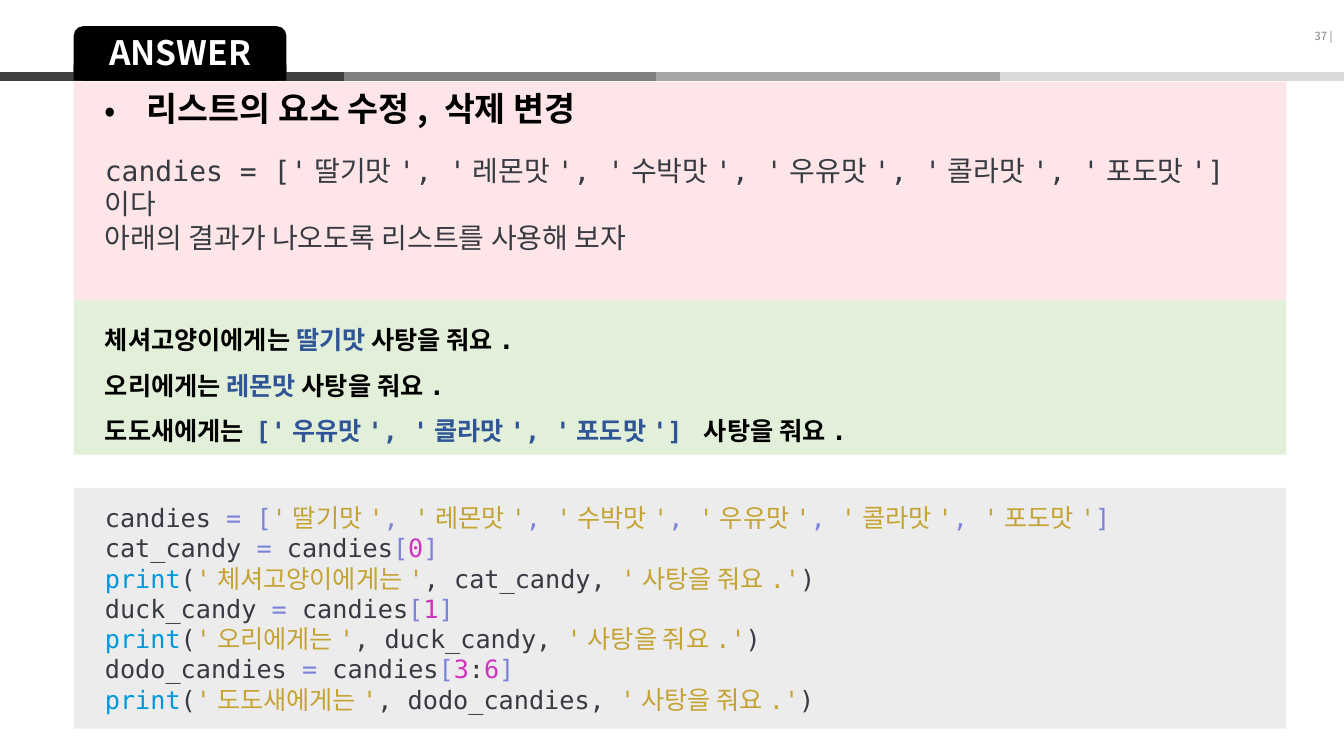
import lxml.etree
import pptx
import pptx.util
import pptx.oxml.ns
import pptx.dml.color
import pptx.enum.shapes
import pptx.enum.text

Pt = pptx.util.Pt
qn = pptx.oxml.ns.qn
Shapes = pptx.enum.shapes.MSO_SHAPE
Align = pptx.enum.text.PP_ALIGN
Anchor = pptx.enum.text.MSO_ANCHOR

COLORS = {
    "black": "000000", "white": "FFFFFF", "number": "808080",
    "bar_dark": "404040", "bar_mid": "808080", "bar_soft": "A6A6A6", "bar_light": "D9D9D9",
    "task": "FEE6E8", "result": "E2F0D9", "code": "ECECED",
    "plain": "383A42", "operator": "7A82DA", "string": "C5A332",
    "digit": "CE33C0", "builtin": "0098DD", "flavor": "2F5597",
}
SANS = "Noto Sans CJK KR"
MONO = "DejaVu Sans Mono"
PANEL_LEFT, PANEL_WIDTH = 52.6, 866.2
FLAVORS = ["딸기맛", "레몬맛", "수박맛", "우유맛", "콜라맛", "포도맛"]


class SlideBuilder:
    def __init__(self, slide):
        self.slide = slide

    def rgb(self, color):
        return pptx.dml.color.RGBColor.from_string(COLORS[color])

    def line(self, left, right, y, color, width):
        line = self.slide.shapes.add_connector(
            pptx.enum.shapes.MSO_CONNECTOR.STRAIGHT, Pt(left), Pt(y), Pt(right), Pt(y))
        line.line.color.rgb = self.rgb(color)
        line.line.width = Pt(width)
        lxml.etree.SubElement(line.element.spPr, qn("a:effectLst"))

    def block(self, preset, left, top, width, height, color):
        block = self.slide.shapes.add_shape(preset, Pt(left), Pt(top), Pt(width), Pt(height))
        block.shadow.inherit = False
        block.fill.solid()
        block.fill.fore_color.rgb = self.rgb(color)
        block.line.fill.background()
        return block

    def panel(self, top, height, color, bottom_inset=3.6):
        frame = self.block(Shapes.RECTANGLE, PANEL_LEFT, top, PANEL_WIDTH, height, color).text_frame
        frame.word_wrap = True
        frame.vertical_anchor = Anchor.MIDDLE
        frame.margin_left = Pt(22.3)
        frame.margin_bottom = Pt(bottom_inset)
        return frame

    def format_run(self, run, size, font, color, bold=False):
        run.font.size = Pt(size)
        run.font.name = font
        run.font.bold = bold
        run.font.color.rgb = self.rgb(color)
        east_asian = lxml.etree.Element(qn("a:ea"), typeface=SANS)
        run._r.get_or_add_rPr().find(qn("a:latin")).addnext(east_asian)

    def paragraphs(self, frame, lines, size, font, bold=False, spacing=None):
        for index, pieces in enumerate(lines):
            paragraph = frame.add_paragraph() if index else frame.paragraphs[0]
            paragraph.alignment = Align.LEFT
            if spacing:
                paragraph.line_spacing = spacing
            for text, color in pieces:
                run = paragraph.add_run()
                run.text = text
                self.format_run(run, size, font, color, bold)

    def bullet(self, paragraph, indent):
        properties = paragraph._p.get_or_add_pPr()
        properties.set("marL", str(Pt(indent)))
        properties.set("indent", str(-Pt(indent)))
        lxml.etree.SubElement(properties, qn("a:buFont"), typeface=SANS)
        lxml.etree.SubElement(properties, qn("a:buChar"), char="•")

    def label(self, shape, text, size, color, align, bold=False):
        frame = shape.text_frame
        frame.text = text
        frame.vertical_anchor = Anchor.MIDDLE
        frame.paragraphs[0].alignment = align
        self.format_run(frame.paragraphs[0].runs[0], size, SANS, color, bold)
        return frame

    def page_number(self, text, left, top, width, height):
        box = self.slide.shapes.add_textbox(Pt(left), Pt(top), Pt(width), Pt(height))
        self.label(box, text, 8, "number", Align.RIGHT).word_wrap = True

    def title(self, text, left, top, width, height):
        title = self.slide.shapes.title
        title.left, title.top, title.width, title.height = Pt(left), Pt(top), Pt(width), Pt(height)
        frame = self.label(title, text, 24, "white", Align.CENTER, True)
        frame.word_wrap = False
        frame.auto_size = pptx.enum.text.MSO_AUTO_SIZE.NONE
        title.element.getparent().append(title.element)


def list_line():
    pieces = [("candies ", "plain"), ("= [", "operator")]
    for flavor in FLAVORS:
        pieces += [(f"'{flavor}'", "string"), (", ", "operator")]
    return pieces[:-1] + [("]", "operator")]


def pick_line(name, index):
    pieces = [(f"{name} ", "plain"), ("=", "operator"), (" candies", "plain"), ("[", "operator")]
    pieces += [(sign, "plain" if sign == ":" else "digit") for sign in index]
    return pieces + [("]", "operator")]


def print_line(receiver, name):
    return [("print", "builtin"), ("(", "plain"), (f"'{receiver}'", "string"),
            (f", {name}, ", "plain"), ("'사탕을 줘요.'", "string"), (")", "plain")]


def main():
    deck = pptx.Presentation()
    deck.slide_width, deck.slide_height = Pt(960), Pt(540)
    page = SlideBuilder(deck.slides.add_slide(deck.slide_layouts[5]))

    bar_length, bar_y = 245.6, 54.7
    for index, color in enumerate(["bar_mid", "bar_soft", "bar_light"]):
        left = 223.2 + index * bar_length
        page.line(left, left + bar_length, bar_y, color, 6)
    page.line(0, bar_length, bar_y, "bar_dark", 6)
    page.page_number("37 |", 883.4, 7.2, 75.6, 36.7)

    task = page.panel(58.3, 156.3, "task", 32.6)
    flavor_list = ", ".join(f"'{flavor}'" for flavor in FLAVORS)
    page.paragraphs(task, [
        [("리스트의 요소 수정, 삭제 변경", "black")],
        [(f"candies = [{flavor_list}]이다", "plain")],
        [("아래의 결과가 나오도록 리스트를 사용해 보자", "plain")],
    ], 20, MONO)
    heading = task.paragraphs[0]
    heading.space_after = Pt(18)
    page.bullet(heading, 30)
    heading_font = heading.runs[0].font
    heading_font.size, heading_font.name, heading_font.bold = Pt(24), SANS, True

    tab_width = 152
    tab = page.block(Shapes.ROUNDED_RECTANGLE, PANEL_LEFT, 18.7, tab_width, 38.9, "black")
    tab.adjustments[0] = 0.18
    page.block(Shapes.RECTANGLE, PANEL_LEFT, 46.8, tab_width, 10.8, "black")
    page.title("ANSWER", 69.8, 19.4, 118, 36)

    receivers = [
        ("체셔고양이에게는", "cat_candy", "0", "딸기맛", " 사탕을 줘요."),
        ("오리에게는", "duck_candy", "1", "레몬맛", " 사탕을 줘요."),
        ("도도새에게는", "dodo_candies", "3:6", "['우유맛', '콜라맛', '포도맛'] ", "사탕을 줘요."),
    ]
    code_lines = [list_line()]
    result_lines = []
    for receiver, name, index, candy, ending in receivers:
        code_lines += [pick_line(name, index), print_line(receiver, name)]
        result_lines.append([(f"{receiver} ", "black"), (candy, "flavor"), (ending, "black")])
    page.paragraphs(page.panel(348.5, 172, "code"), code_lines, 18, MONO)
    page.paragraphs(page.panel(214.6, 110.2, "result"), result_lines, 18, MONO, True, 1.5)

    deck.save("out.pptx")


if __name__ == "__main__":
    main()
